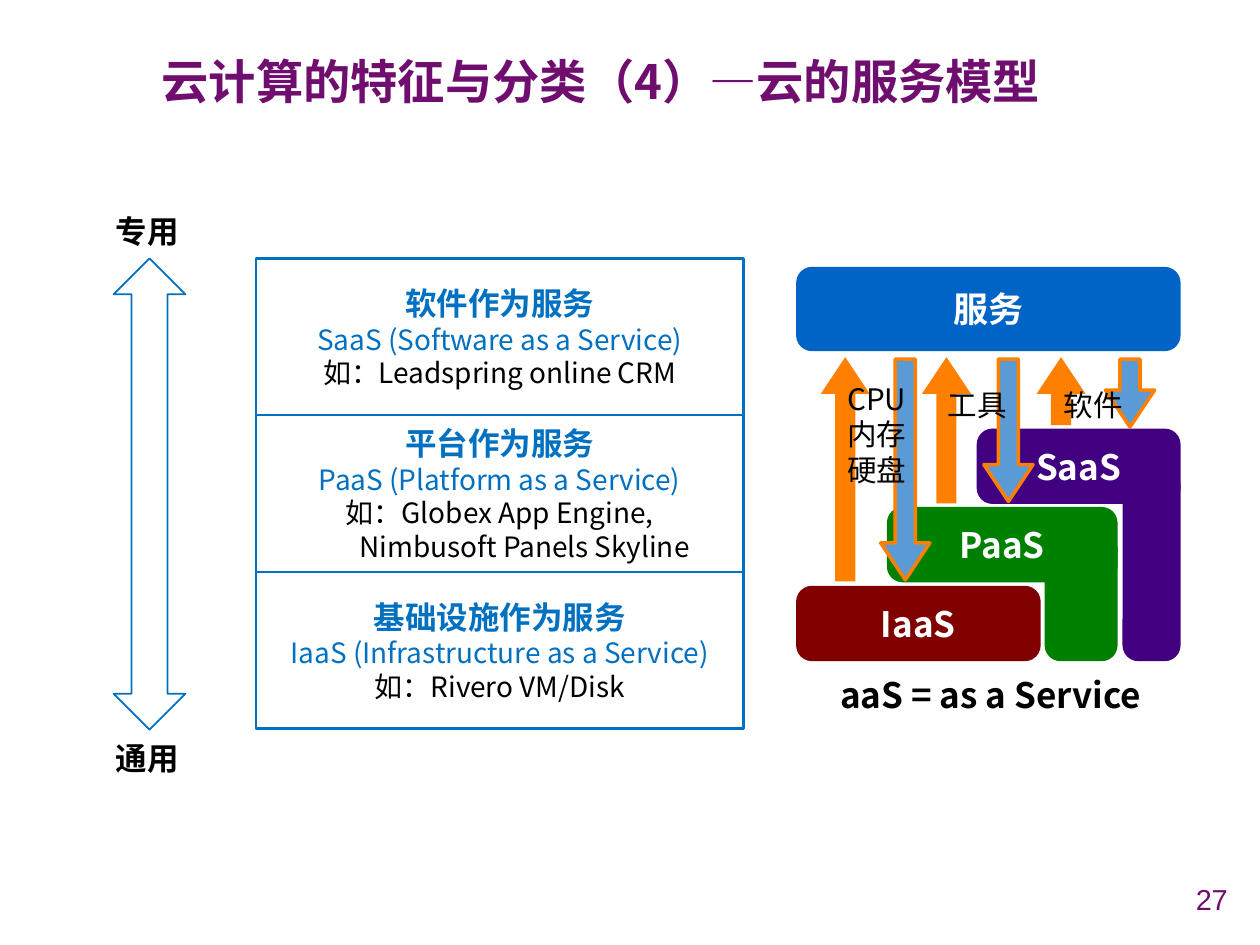
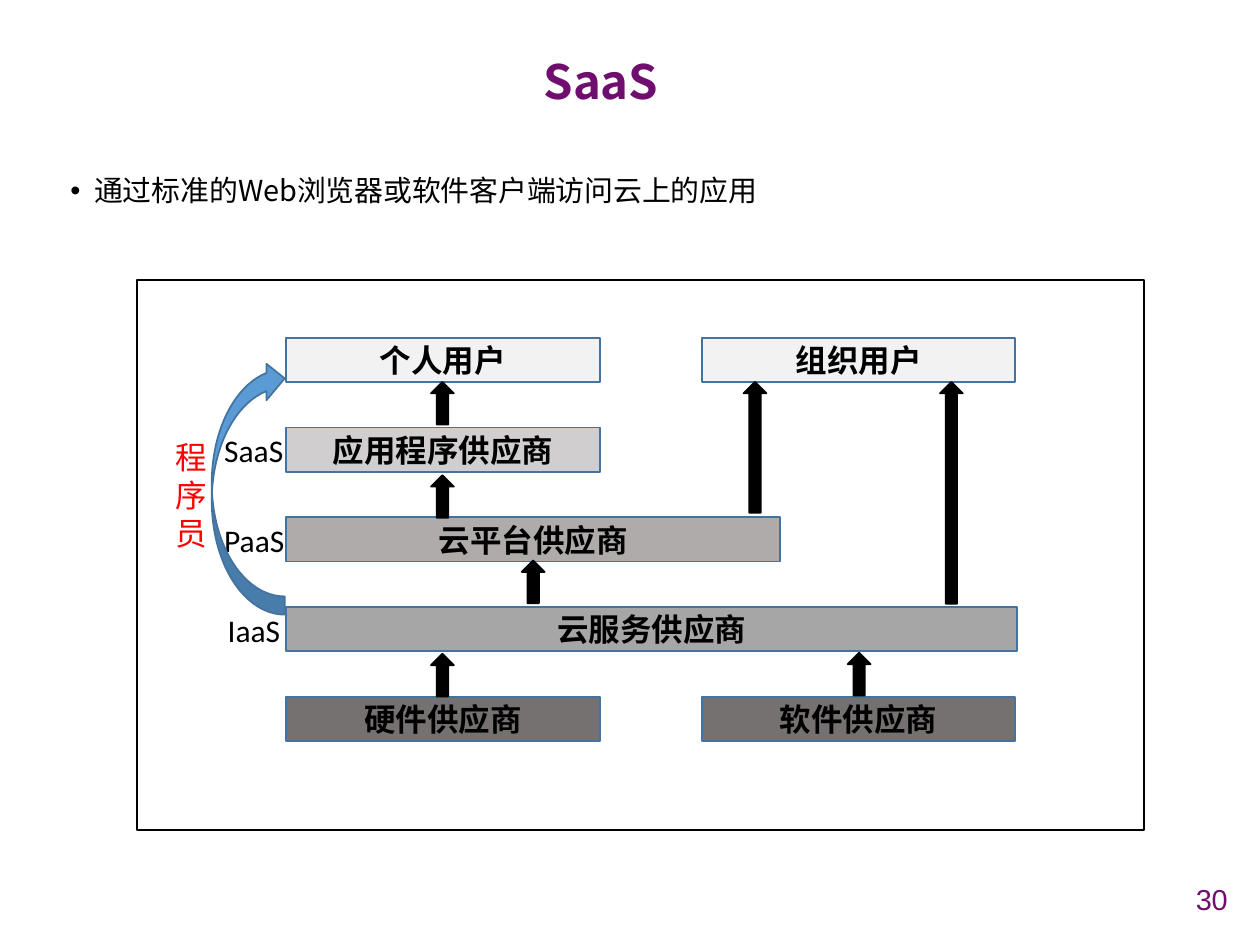
from dataclasses import dataclass

from lxml import etree
from pptx import Presentation
from pptx.dml.color import RGBColor
from pptx.enum.shapes import MSO_SHAPE
from pptx.enum.text import MSO_ANCHOR, PP_ALIGN
from pptx.oxml.ns import qn
from pptx.util import Cm, Pt

LEFT, CENTER, RIGHT = PP_ALIGN.LEFT, PP_ALIGN.CENTER, PP_ALIGN.RIGHT
TOP, MIDDLE = MSO_ANCHOR.TOP, MSO_ANCHOR.MIDDLE
RECTANGLE, ROUNDED = MSO_SHAPE.RECTANGLE, MSO_SHAPE.ROUNDED_RECTANGLE
UP_ARROW, DOWN_ARROW = MSO_SHAPE.UP_ARROW, MSO_SHAPE.DOWN_ARROW
UP_DOWN_ARROW, CURVED_ARROW = MSO_SHAPE.UP_DOWN_ARROW, MSO_SHAPE.CURVED_DOWN_ARROW


@dataclass(frozen=True)
class Theme:
    purple: str = "6F0E6F"
    blue: str = "0070C0"
    black: str = "000000"
    white: str = "FFFFFF"
    red: str = "FF0000"
    service: str = "0064C7"
    iaas: str = "800000"
    paas: str = "008000"
    saas: str = "400080"
    request: str = "FF8000"
    delivery: str = "5B9BD5"
    outline: str = "43739E"
    users: str = "F2F2F2"
    applications: str = "D0CECE"
    platform: str = "AFABAB"
    cloud: str = "A6A6A6"
    suppliers: str = "767171"
    cjk: str = "Noto Sans CJK SC"
    diagram: str = "Calibri"
    number: str = "Arial"
    title_size: float = 27
    block_size: float = 20
    heading_size: float = 18
    label_size: float = 16.9
    body_size: float = 16.5
    detail_size: float = 16


THEME = Theme()


def write_text(paragraph, text, *, size=THEME.heading_size, color=THEME.black,
               bold=False, font=THEME.cjk, align=LEFT, spacing=None):
    paragraph.alignment = align
    if spacing:
        paragraph.line_spacing = spacing
    run = paragraph.add_run()
    run.text = text
    run.font.size = Pt(size)
    run.font.bold = bold
    run.font.name = font
    run.font.color.rgb = RGBColor.from_string(color)
    east_asian = etree.SubElement(run._r.get_or_add_rPr(), qn("a:ea"))
    east_asian.set("typeface", THEME.cjk)


def set_frame(shape, anchor=MIDDLE, inset=None, wrap=True):
    frame = shape.text_frame
    frame.word_wrap = wrap
    frame.vertical_anchor = anchor
    if inset is not None:
        frame.margin_left = frame.margin_right = Cm(inset)
        frame.margin_top = frame.margin_bottom = Cm(inset)
    return frame


def add_text(slide, box, *lines, anchor=MIDDLE, inset=None, wrap=True, **style):
    """Add a text box with one paragraph per line and return its frame."""
    shape = slide.shapes.add_textbox(*map(Cm, box))
    frame = set_frame(shape, anchor, inset, wrap)
    for index, line in enumerate(lines):
        paragraph = frame.add_paragraph() if index else frame.paragraphs[0]
        write_text(paragraph, line, **style)
    return frame


def add_figure(slide, kind, box, fill=None, line=None, width=1, adjustments=()):
    shape = slide.shapes.add_shape(kind, *map(Cm, box))
    shape.shadow.inherit = False
    if fill:
        shape.fill.solid()
        shape.fill.fore_color.rgb = RGBColor.from_string(fill)
    else:
        shape.fill.background()
    if line:
        shape.line.color.rgb = RGBColor.from_string(line)
        shape.line.width = Pt(width)
    else:
        shape.line.fill.background()
    for index, value in enumerate(adjustments):
        shape.adjustments[index] = value
    return shape


def add_block(slide, box, fill, text=None):
    """Add a rounded block; every block has the same corner radius."""
    radius = 0.32 / min(box[2:])
    shape = add_figure(slide, ROUNDED, box, fill, adjustments=[radius])
    if text:
        frame = set_frame(shape, inset=0)
        write_text(frame.paragraphs[0], text, size=THEME.block_size,
                   color=THEME.white, bold=True, align=CENTER)


def add_exchange(slide, up_center, down_center, up_length, down_length):
    """Add the request arrow and the delivery arrow of one service layer."""
    width, proportions = 0.99, (0.41, 0.751)
    add_figure(slide, UP_ARROW, (up_center - width / 2, 7.2, width, up_length),
               THEME.request, adjustments=proportions)
    add_figure(slide, DOWN_ARROW, (down_center - width / 2, 7.24, width, down_length),
               THEME.delivery, THEME.request, 2, proportions)


def add_model(slide, box, heading, name, *examples):
    shape = add_figure(slide, RECTANGLE, box, line=THEME.blue, width=1.5)
    frame = set_frame(shape)
    write_text(frame.paragraphs[0], heading, color=THEME.blue, bold=True, align=CENTER)
    write_text(frame.add_paragraph(), name, size=THEME.detail_size,
               color=THEME.blue, align=CENTER)
    for index, example in enumerate(examples):
        paragraph = frame.add_paragraph()
        if index:
            paragraph._p.get_or_add_pPr().set("marL", str(Cm(1)))
        write_text(paragraph, example, size=THEME.detail_size, align=CENTER)


def add_bullet(paragraph, text, **style):
    properties = paragraph._p.get_or_add_pPr()
    properties.set("marL", str(Cm(0.48)))
    properties.set("indent", str(-Cm(0.48)))
    paragraph.line_spacing = Pt(21.6)
    etree.SubElement(properties, qn("a:buFont")).set("typeface", THEME.number)
    etree.SubElement(properties, qn("a:buChar")).set("char", "•")
    write_text(paragraph, text, **style)


def add_slide(presentation, title, number):
    slide = presentation.slides.add_slide(presentation.slide_layouts[6])
    add_text(slide, (1.17, 0.79, 21.89, 1.8), title, size=THEME.title_size,
             color=THEME.purple, bold=True, align=CENTER, spacing=0.9)
    add_text(slide, (23.22, 17.73, 1.78, 0.79), str(number), size=THEME.body_size,
             color=THEME.purple, font=THEME.number, align=RIGHT)
    return slide


def build_service_models(presentation):
    slide = add_slide(presentation, "云计算的特征与分类（4）—云的服务模型", 27)
    models = [
        ("软件作为服务", "SaaS (Software as a Service)", "如：Leadspring online CRM"),
        ("平台作为服务", "PaaS (Platform as a Service)", "如：Globex App Engine,",
         "Nimbusoft Panels Skyline"),
        ("基础设施作为服务", "IaaS (Infrastructure as a Service)", "如：Rivero VM/Disk"),
    ]
    for row, model in enumerate(models):
        add_model(slide, (5.16, 5.21 + 3.16 * row, 9.83, 3.16), *model)

    add_figure(slide, UP_DOWN_ARROW, (2.29, 5.21, 1.45, 9.5), line=THEME.blue)
    for text, top in (("专用", 4.09), ("通用", 14.71)):
        add_text(slide, (2.08, top, 1.85, 1.12), text, bold=True)

    for box, fill, text in (
        ((16.05, 5.38, 7.75, 1.7), THEME.service, "服务"),
        ((21.06, 10.74, 1.47, 2.59), THEME.paas, None),
        ((22.63, 9.47, 1.17, 3.86), THEME.saas, None),
        ((19.69, 8.64, 4.11, 1.52), THEME.saas, "SaaS"),
        ((17.88, 10.22, 4.65, 1.52), THEME.paas, "PaaS"),
        ((16.05, 11.81, 4.93, 1.52), THEME.iaas, "IaaS"),
    ):
        add_block(slide, box, fill, text)

    add_exchange(slide, 17.04, 18.25, 4.52, 4.45)
    add_exchange(slide, 19.08, 20.33, 2.95, 2.87)
    add_exchange(slide, 21.39, 22.78, 1.37, 1.37)

    for left, height, lines in ((16.94, 1.93, ("CPU", "内存", "硬盘")),
                                (18.97, 0.76, ("工具",)),
                                (21.31, 0.76, ("软件",))):
        add_text(slide, (left, 7.78, 1.47, height), *lines, inset=0,
                 size=THEME.label_size, align=CENTER)
    add_text(slide, (16.1, 13.49, 7.75, 1.02), "aaS = as a Service", inset=0,
             size=THEME.block_size, bold=True, align=CENTER)


def build_saas(presentation):
    slide = add_slide(presentation, "SaaS", 30)
    body = add_text(slide, (1.17, 3.3, 23.06, 14.4), anchor=TOP)
    add_bullet(body.paragraphs[0], "通过标准的Web浏览器或软件客户端访问云上的应用",
               size=THEME.body_size)
    add_figure(slide, RECTANGLE, (2.77, 5.64, 20.29, 11.1), THEME.white, THEME.black)

    row_tops = [6.81 + 1.81 * row for row in range(5)]
    left, right, narrow = 5.77, 14.15, 6.32
    for row, start, width, fill, text in (
        (0, left, narrow, THEME.users, "个人用户"),
        (0, right, narrow, THEME.users, "组织用户"),
        (1, left, narrow, THEME.applications, "应用程序供应商"),
        (2, left, 9.96, THEME.platform, "云平台供应商"),
        (3, left, 14.73, THEME.cloud, "云服务供应商"),
        (4, left, narrow, THEME.suppliers, "硬件供应商"),
        (4, right, narrow, THEME.suppliers, "软件供应商"),
    ):
        shape = add_figure(slide, RECTANGLE, (start, row_tops[row], width, 0.89),
                           fill, THEME.outline)
        write_text(set_frame(shape).paragraphs[0], text, bold=True,
                   font=THEME.diagram, align=CENTER)

    for row, start, width, text in ((1, 4.27, 1.73, "SaaS"), (2, 4.27, 1.73, "PaaS"),
                                    (3, 4.34, 1.57, "IaaS")):
        add_text(slide, (start, row_tops[row] - 0.05, width, 1.02), text,
                 anchor=TOP, wrap=False, font=THEME.diagram)

    for start, top, length in (
        (8.69, 7.7, 0.86), (8.69, 9.58, 0.86), (10.52, 11.3, 0.86),
        (8.69, 13.18, 0.86), (17.09, 13.16, 0.86),
        (14.99, 7.7, 2.64), (18.95, 7.7, 4.47),
    ):
        add_figure(slide, UP_ARROW, (start, top, 0.46, length), THEME.black, THEME.black)

    curve = add_figure(slide, CURVED_ARROW, (2.44, 9.09, 5.13, 1.47),
                       THEME.delivery, THEME.outline)
    curve.rotation = 270
    add_text(slide, (3.28, 8.71, 1.14, 2.57), *"程序员", anchor=TOP, wrap=False,
             color=THEME.red, font=THEME.diagram)


def main():
    presentation = Presentation()
    presentation.slide_width, presentation.slide_height = Cm(25.4), Cm(19.05)
    build_service_models(presentation)
    build_saas(presentation)
    presentation.save("out.pptx")


if __name__ == "__main__":
    main()
